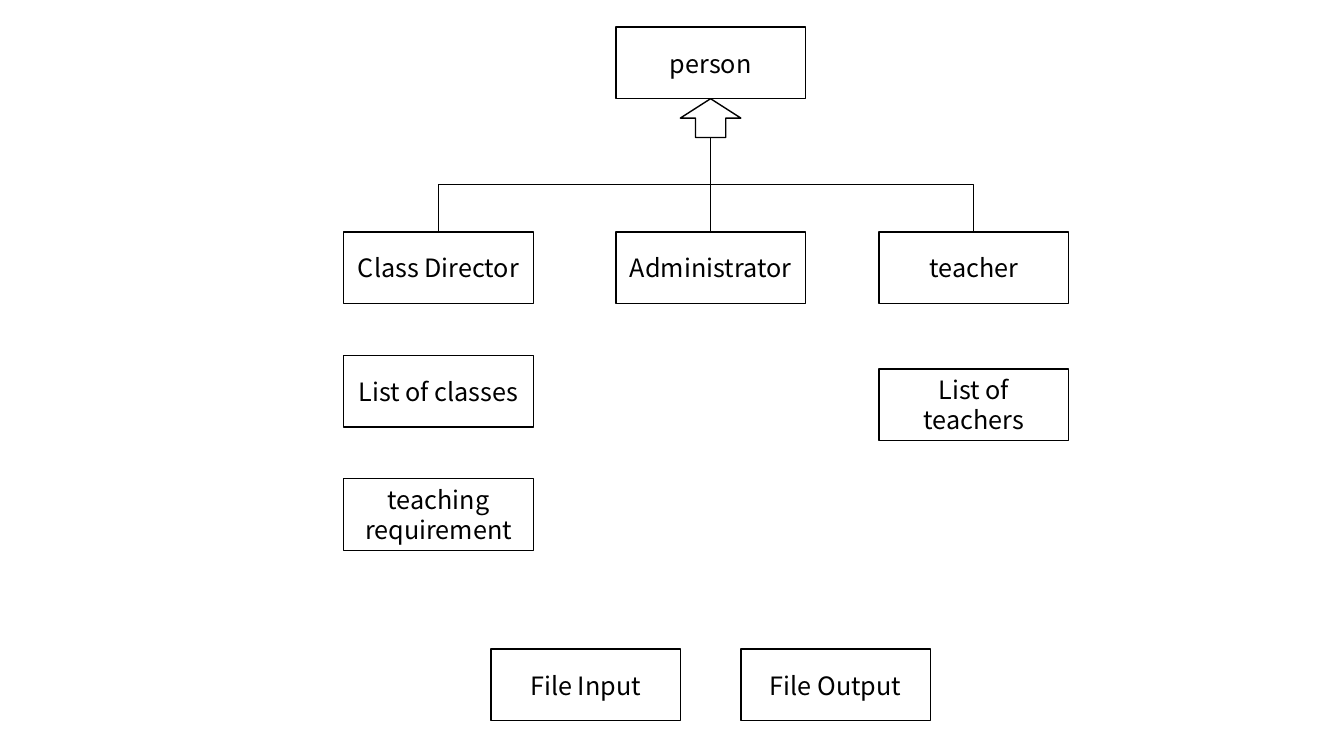
"""Draw a class diagram of people, their lists and file handling."""
from dataclasses import dataclass

from lxml.etree import SubElement
from pptx import Presentation
from pptx.dml.color import RGBColor
from pptx.enum.shapes import MSO_CONNECTOR, MSO_SHAPE
from pptx.enum.text import MSO_ANCHOR, PP_ALIGN
from pptx.oxml.ns import qn
from pptx.shapes.autoshape import Shape
from pptx.shapes.connector import Connector
from pptx.slide import Slide
from pptx.util import Pt


@dataclass(frozen=True)
class Theme:
    """Colours, type and line sizes of the diagram."""
    ink: RGBColor = RGBColor(0, 0, 0)
    paper: RGBColor = RGBColor(255, 255, 255)
    font: str = "Noto Sans CJK SC"
    text_size: float = 18
    line_width: float = 1


@dataclass(frozen=True)
class ClassBox:
    """Label and top left corner of one class, in points."""
    label: str
    left: float
    top: float


THEME = Theme()
BOX_WIDTH, BOX_HEIGHT = 135.4, 51.1
ARROW_WIDTH, ARROW_HEIGHT = 43.2, 27.7
DIRECTOR_LEFT, CENTRE_LEFT, TEACHER_LEFT = 245.5, 439.9, 627.8
CHILD_TOP, FILE_TOP, LIST_STEP = 165.6, 463.7, 88.2
TOP_SITE, BOTTOM_SITE = 0, 2

PARENT = ClassBox("person", CENTRE_LEFT, 19.4)
CHILDREN = [
    ClassBox("Class Director", DIRECTOR_LEFT, CHILD_TOP),
    ClassBox("Administrator", CENTRE_LEFT, CHILD_TOP),
    ClassBox("teacher", TEACHER_LEFT, CHILD_TOP),
]
SEPARATE_CLASSES = [
    ClassBox("List of classes", DIRECTOR_LEFT, CHILD_TOP + LIST_STEP),
    ClassBox("teaching\nrequirement", DIRECTOR_LEFT, CHILD_TOP + 2 * LIST_STEP),
    ClassBox("List of teachers", TEACHER_LEFT, 263.5),
    ClassBox("File Input", 350.6, FILE_TOP),
    ClassBox("File Output", 529.2, FILE_TOP),
]


def set_values(target: object, values: dict[str, object]) -> None:
    """Set each named attribute of the target."""
    for name, value in values.items():
        setattr(target, name, value)


def style_line(item: Shape | Connector) -> None:
    """Give an outline or connector the theme's line."""
    item.line.width = Pt(THEME.line_width)
    item.line.color.rgb = THEME.ink


def add_outlined(slide: Slide, kind: MSO_SHAPE, left: float, top: float,
                 width: float, height: float) -> Shape:
    """Add a paper-filled shape with a plain outline."""
    shape = slide.shapes.add_shape(kind, Pt(left), Pt(top), Pt(width), Pt(height))
    shape.shadow.inherit = False
    shape.fill.solid()
    shape.fill.fore_color.rgb = THEME.paper
    style_line(shape)
    return shape


def add_class_box(slide: Slide, item: ClassBox) -> Shape:
    """Add a labelled class box."""
    box = add_outlined(slide, MSO_SHAPE.RECTANGLE, item.left, item.top,
                       BOX_WIDTH, BOX_HEIGHT)
    frame = box.text_frame
    set_values(frame, {"text": item.label, "word_wrap": True,
                       "vertical_anchor": MSO_ANCHOR.MIDDLE})
    for para in frame.paragraphs:
        para.alignment = PP_ALIGN.CENTER
        for span in para.runs:
            set_values(span.font, {"name": THEME.font, "size": Pt(THEME.text_size)})
            span.font.color.rgb = THEME.ink
    return box


def stand_upright(link: Connector) -> None:
    """Turn an elbow connector so that it leaves its class vertically."""
    run = link.end_x - link.begin_x
    rise = link.begin_y - link.end_y
    middle_x = (link.begin_x + link.end_x) // 2
    middle_y = (link.begin_y + link.end_y) // 2
    set_values(link, {"left": middle_x - rise // 2, "top": middle_y - abs(run) // 2,
                      "width": rise, "height": abs(run)})
    quarter_turns = 1 if run > 0 else 3
    frame = link._element.spPr.find(qn("a:xfrm"))
    frame.set("rot", str(quarter_turns * 5400000))
    frame.set("flipH", str(int(run > 0)))
    frame.set("flipV", "1")


def add_inheritance(slide: Slide, child: Shape, arrow: Shape) -> None:
    """Link the top of a child class to the foot of the arrow."""
    offset = child.left + child.width // 2 - arrow.left - arrow.width // 2
    bent = abs(offset) > Pt(1)
    kind = MSO_CONNECTOR.ELBOW if bent else MSO_CONNECTOR.STRAIGHT
    link = slide.shapes.add_connector(kind, Pt(0), Pt(0), Pt(0), Pt(0))
    link.begin_connect(child, TOP_SITE)
    link.end_connect(arrow, BOTTOM_SITE)
    if bent:
        stand_upright(link)
    style_line(link)
    SubElement(link._element.spPr, qn("a:effectLst"))


def main() -> None:
    """Build and save the deck."""
    deck = Presentation()
    set_values(deck, {"slide_width": Pt(960), "slide_height": Pt(540)})
    slide = deck.slides.add_slide(deck.slide_layouts[6])
    add_class_box(slide, PARENT)
    children = [add_class_box(slide, item) for item in CHILDREN]
    arrow = add_outlined(slide, MSO_SHAPE.UP_ARROW,
                         PARENT.left + (BOX_WIDTH - ARROW_WIDTH) / 2,
                         PARENT.top + BOX_HEIGHT, ARROW_WIDTH, ARROW_HEIGHT)
    for child in children:
        add_inheritance(slide, child, arrow)
    for item in SEPARATE_CLASSES:
        add_class_box(slide, item)
    deck.save("out.pptx")


main()
